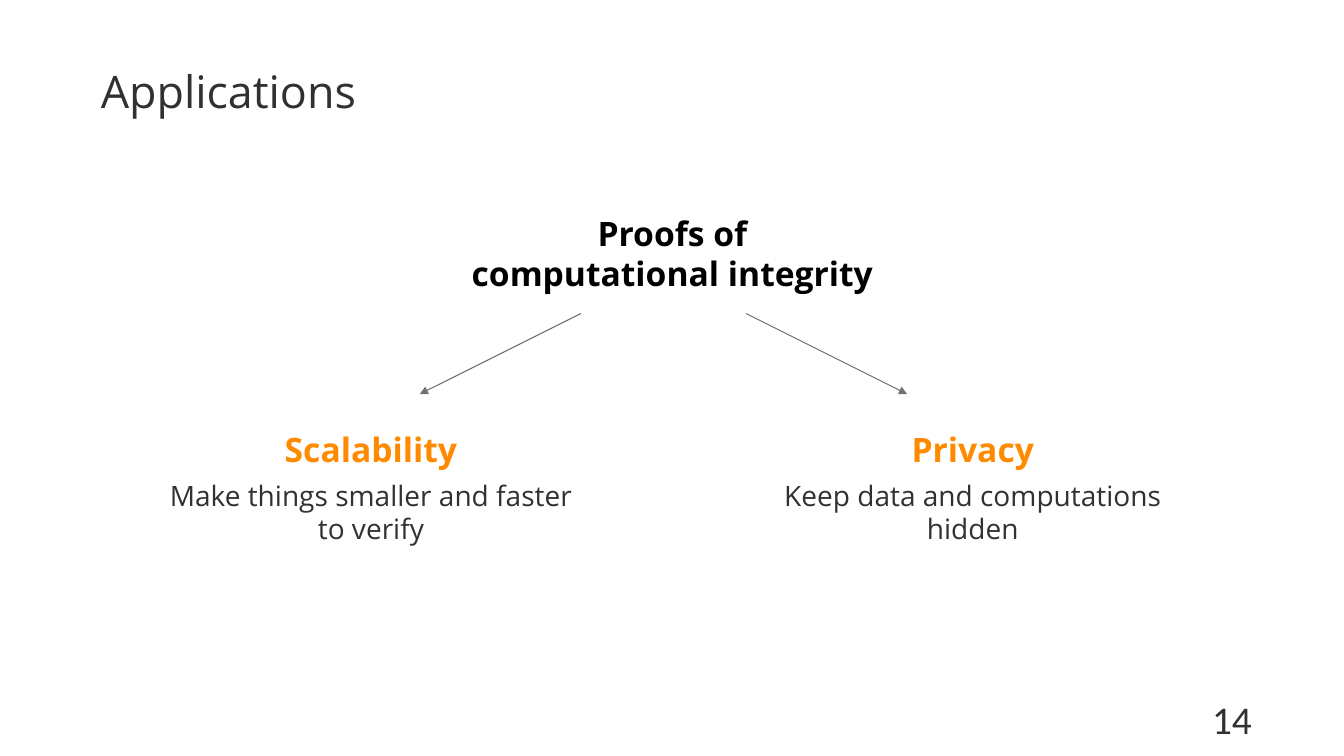
from lxml import etree
from pptx import Presentation
from pptx.dml.color import RGBColor
from pptx.enum.shapes import MSO_CONNECTOR
from pptx.enum.text import MSO_ANCHOR, PP_ALIGN
from pptx.oxml.ns import qn
from pptx.util import Inches, Pt

STRAIGHT = MSO_CONNECTOR.STRAIGHT
MIDDLE, TOP = MSO_ANCHOR.MIDDLE, MSO_ANCHOR.TOP
CENTER, LEFT = PP_ALIGN.CENTER, PP_ALIGN.LEFT

SLIDE_W, SLIDE_H = Inches(13.33), Inches(7.5)
COLUMN, ROW = SLIDE_W / 40, SLIDE_H / 30

COLORS = {"text": "313131", "root": "000000", "accent": "FF8A00", "arrow": "727272"}
FORMATS = {
    "title": {"name": "Open Sans", "size": Pt(32), "bold": False, "color": "text"},
    "root": {"name": "Open Sans", "size": Pt(24), "bold": True, "color": "root"},
    "heading": {"name": "Open Sans", "size": Pt(24), "bold": True, "color": "accent"},
    "detail": {"name": "Open Sans", "size": Pt(20), "bold": False, "color": "text"},
    "number": {"name": "Calibri", "size": Pt(28), "bold": False, "color": "text"},
}


def on_grid(columns, rows):
    return round(columns * COLUMN), round(rows * ROW)


def write(frame, lines, align=CENTER, space_before=Pt(6), side_inset=Inches(0.1), anchor=TOP):
    """Fill a frame with one paragraph for each (wording, format name) pair."""
    frame.word_wrap = True
    frame.vertical_anchor = anchor
    frame.margin_left = frame.margin_right = side_inset
    frame.margin_top = frame.margin_bottom = Inches(0.05)
    for index, (wording, format_name) in enumerate(lines):
        paragraph = frame.add_paragraph() if index else frame.paragraphs[0]
        paragraph.alignment = align
        paragraph.space_before = space_before
        run = paragraph.add_run()
        run.text = wording
        for key, value in FORMATS[format_name].items():
            if key == "color":
                run.font.color.rgb = RGBColor.from_string(COLORS[value])
            else:
                setattr(run.font, key, value)


def add_label(slide, box, lines, **layout):
    left, top, width, height = box
    label = slide.shapes.add_textbox(*on_grid(left, top), *on_grid(width, height))
    write(label.text_frame, lines, **layout)


def add_arrow(slide, start, end):
    arrow = slide.shapes.add_connector(STRAIGHT, *on_grid(*start), *on_grid(*end))
    arrow.line.color.rgb = RGBColor.from_string(COLORS["arrow"])
    arrow.line.width = Pt(0.75)
    etree.SubElement(arrow.line._get_or_add_ln(), qn("a:tailEnd"), type="triangle")
    etree.SubElement(arrow._element.spPr, qn("a:effectLst"))


def add_title(slide, box, wording):
    title = slide.shapes.title
    left, top, width, height = box
    title.left, title.top = on_grid(left, top)
    title.width, title.height = on_grid(width, height)
    write(title.text_frame, [(wording, "title")], align=LEFT,
          space_before=Pt(0), side_inset=0, anchor=MIDDLE)


def add_branch(slide, box, heading, detail, arrow_from, arrow_to, side_inset):
    """Place an application and its incoming arrow, whose columns count from the box."""
    left, top = box[:2]
    add_arrow(slide, (left + arrow_from, top - 4.4), (left + arrow_to, top - 1.2))
    add_label(slide, box, [(heading, "heading"), (detail, "detail")], side_inset=side_inset)


def add_applications_slide(deck):
    slide = deck.slides.add_slide(deck.slide_layouts[5])
    add_title(slide, (3, 2, 34, 3.2), "Applications")
    add_label(slide, (33.33, 27.4, 6.67, 1.6), [("14", "number")], space_before=Pt(0))
    add_label(slide, (13.71, 8.24, 12.6, 2.4),
              [("Proofs of computational integrity", "root")])
    branches = [
        (4.29, "Scalability", "Make things smaller and faster to verify", 13, 8.2, Inches(0.1)),
        (22.2, "Privacy", "Keep data and computations hidden", 0, 4.8, 0),
    ]
    for left, *content in branches:
        add_branch(slide, (left, 16.84, 13.5, 5.2), *content)


def main():
    deck = Presentation()
    deck.slide_width, deck.slide_height = SLIDE_W, SLIDE_H
    add_applications_slide(deck)
    deck.save("out.pptx")


if __name__ == "__main__":
    main()
